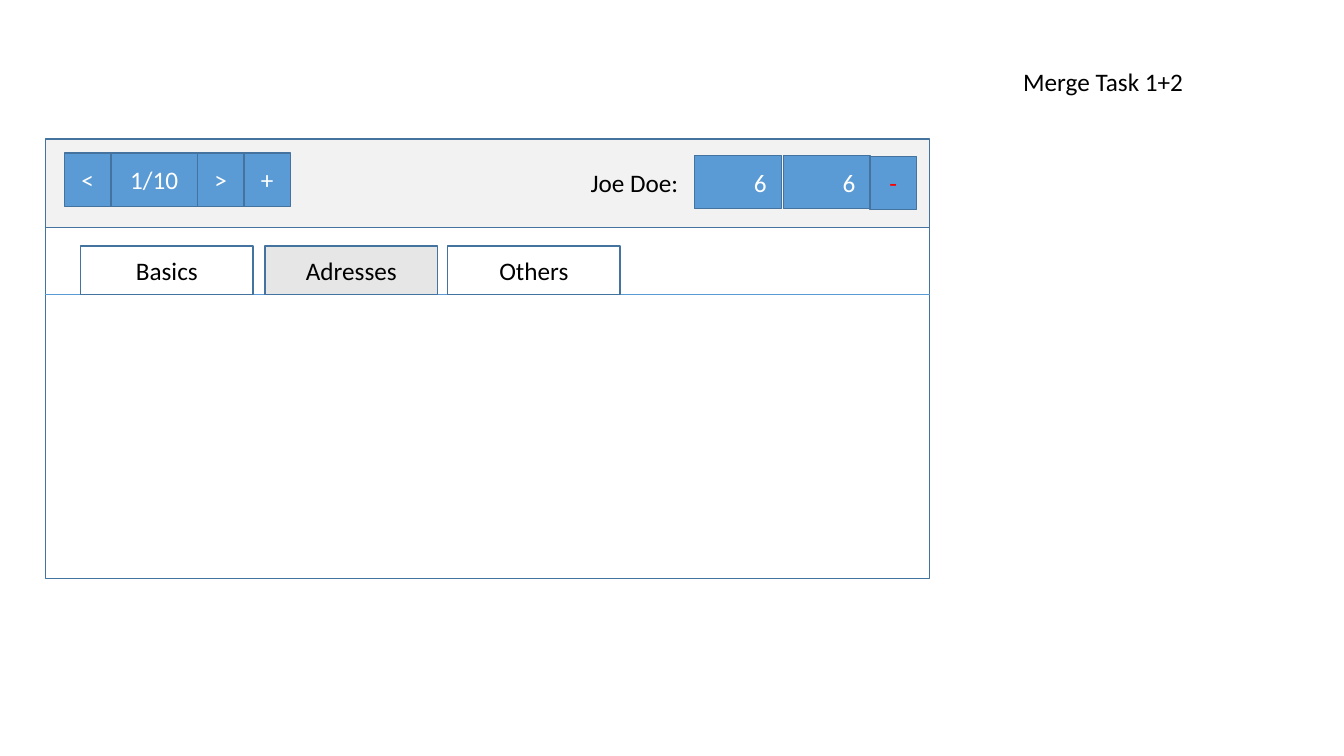
from dataclasses import dataclass

import pptx
import pptx.dml.color
import pptx.enum.shapes
import pptx.enum.text
import pptx.util
from lxml import etree
from pptx.oxml.ns import qn
from pptx.util import Inches


@dataclass(frozen=True)
class Theme:
    font: str = "Calibri"
    text_size: int = 18
    outline_width: float = 1
    rule_width: float = 0.5
    button: str = "5B9BD5"
    outline: str = "43739E"
    header: str = "F2F2F2"
    active_tab: str = "E7E6E6"
    light_text: str = "FFFFFF"
    dark_text: str = "000000"
    delete_text: str = "FF0000"


def rgb(value):
    return pptx.dml.color.RGBColor.from_string(value)


def write_text(text_frame, text, *, font, size, color, alignment):
    paragraph = text_frame.paragraphs[0]
    paragraph.alignment = alignment
    run = paragraph.add_run()
    run.text = text
    run.font.name = font
    run.font.size = pptx.util.Pt(size)
    run.font.color.rgb = rgb(color)


class MockupSlide:
    def __init__(self, slide, theme):
        self.slide = slide
        self.theme = theme

    def box(self, left, top, width, height, fill=None, text=None, color=None):
        shape = self.slide.shapes.add_shape(
            pptx.enum.shapes.MSO_SHAPE.RECTANGLE,
            Inches(left), Inches(top), Inches(width), Inches(height))
        shape.shadow.inherit = False
        if fill:
            shape.fill.solid()
            shape.fill.fore_color.rgb = rgb(fill)
        else:
            shape.fill.background()
        shape.line.color.rgb = rgb(self.theme.outline)
        shape.line.width = pptx.util.Pt(self.theme.outline_width)
        if text:
            shape.text_frame.vertical_anchor = pptx.enum.text.MSO_ANCHOR.MIDDLE
            write_text(shape.text_frame, text, font=self.theme.font,
                       size=self.theme.text_size, color=color,
                       alignment=pptx.enum.text.PP_ALIGN.CENTER)

    def label(self, left, top, width, text, color):
        text_box = self.slide.shapes.add_textbox(
            Inches(left), Inches(top), Inches(width), Inches(0.4))
        text_box.text_frame.word_wrap = False
        text_box.text_frame.auto_size = pptx.enum.text.MSO_AUTO_SIZE.SHAPE_TO_FIT_TEXT
        write_text(text_box.text_frame, text, font=self.theme.font,
                   size=self.theme.text_size, color=color,
                   alignment=pptx.enum.text.PP_ALIGN.LEFT)

    def horizontal_rule(self, left, top, width):
        connector = self.slide.shapes.add_connector(
            pptx.enum.shapes.MSO_CONNECTOR.STRAIGHT,
            Inches(left), Inches(top), Inches(left + width), Inches(top))
        connector.line.color.rgb = rgb(self.theme.button)
        connector.line.width = pptx.util.Pt(self.theme.rule_width)
        etree.SubElement(connector._element.spPr, qn("a:effectLst"))


def main():
    presentation = pptx.Presentation()
    presentation.slide_width = Inches(13.33)
    presentation.slide_height = Inches(7.5)
    theme = Theme()
    mockup = MockupSlide(
        presentation.slides.add_slide(presentation.slide_layouts[6]), theme)

    window_left, window_width = 0.45, 8.77
    header_top, header_height, body_height = 1.38, 0.88, 3.48
    button_width, field_width, button_height = 0.46, 0.86, 0.53
    tab_top, tab_width, tab_height = 2.44, 1.71, 0.48

    mockup.box(window_left, header_top, window_width, header_height, theme.header)
    mockup.box(window_left, header_top + header_height, window_width, body_height)

    left = 0.64
    for text, width in (("<", button_width), ("1/10", field_width),
                        (">", button_width), ("+", button_width)):
        mockup.box(left, 1.52, width, button_height, theme.button, text, theme.light_text)
        left += width

    mockup.label(5.76, 1.61, 1.08, "Joe Doe:", theme.dark_text)
    for field_left in (6.89, 7.77):
        mockup.box(field_left, 1.54, field_width, button_height, theme.button)
        mockup.label(field_left + 0.49, 1.61, 0.33, "6", theme.light_text)
    mockup.box(8.63, 1.55, button_width, button_height, theme.button, "-", theme.delete_text)

    mockup.horizontal_rule(window_left, tab_top + tab_height, window_width)
    for tab_left, text, fill in ((0.8, "Basics", None),
                                 (2.63, "Adresses", theme.active_tab),
                                 (4.44, "Others", None)):
        mockup.box(tab_left, tab_top, tab_width, tab_height, fill, text, theme.dark_text)

    mockup.label(10.05, 0.61, 1.86, "Merge Task 1+2", theme.dark_text)
    presentation.save("out.pptx")


if __name__ == "__main__":
    main()
